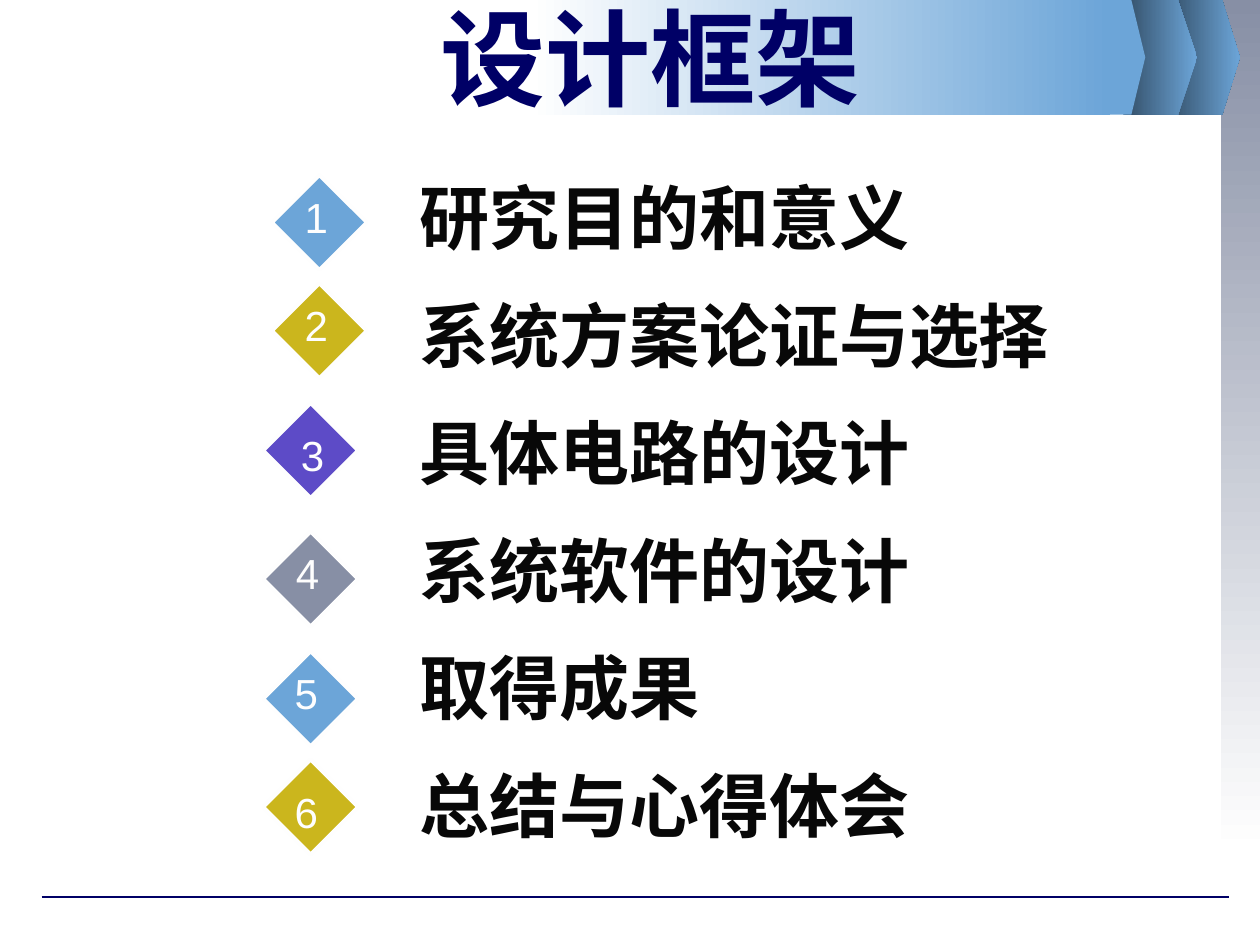
from lxml import etree
from pptx import Presentation
from pptx.dml.color import RGBColor
from pptx.enum import shapes, text
from pptx.oxml import ns
from pptx.util import Inches, Pt

NAVY = RGBColor(0x00, 0x00, 0x66)
INK = RGBColor(0x08, 0x08, 0x08)
WHITE = RGBColor(0xFF, 0xFF, 0xFF)
OFF_WHITE = RGBColor(0xFE, 0xFE, 0xFE)
BLUE = RGBColor(0x6C, 0xA5, 0xD8)
DARK_BLUE = RGBColor(0x32, 0x4C, 0x64)
GOLD = RGBColor(0xCB, 0xB6, 0x1D)
PURPLE = RGBColor(0x5D, 0x4B, 0xC7)
GREY = RGBColor(0x87, 0x8F, 0xA5)

TITLE = "设计框架"
# heading, diamond colour, diamond left and top, number left and top
TOPICS = [
    ("研究目的和意义", BLUE, (2.16, 1.39), (2.32, 1.47)),
    ("系统方案论证与选择", GOLD, (2.16, 2.25), (2.32, 2.33)),
    ("具体电路的设计", PURPLE, (2.09, 3.2), (2.29, 3.36)),
    ("系统软件的设计", GREY, (2.09, 4.22), (2.25, 4.3)),
    ("取得成果", BLUE, (2.09, 5.17), (2.24, 5.25)),
    ("总结与心得体会", GOLD, (2.09, 6.03), (2.24, 6.19)),
]
# left, shoulder, tip, fill colours
CHEVRONS = [
    (9.25, 9.7, 9.84, (DARK_BLUE, BLUE)),
    (8.91, 9.35, 9.5, (DARK_BLUE, BLUE)),
    (8.63, 8.98, 9.09, (BLUE,)),
]
BANNER_HEIGHT = 0.91
DIAMOND_SIZE = 0.75

TITLE_FONT = {"name": "Arial", "size": Pt(60), "bold": True}
TOPIC_FONT = {"name": "Times New Roman", "size": Pt(40), "bold": True}
NUMBER_FONT = {"name": "Arial", "size": Pt(24), "bold": False}


def format_font(font, values, color):
    for key, value in values.items():
        setattr(font, key, value)
    font.color.rgb = color


def paint(shape, colors, angle=0):
    """Fill with one colour, or with a gradient from the first to the second."""
    shape.shadow.inherit = False
    shape.line.fill.background()
    if len(colors) == 1:
        shape.fill.solid()
        shape.fill.fore_color.rgb = colors[0]
        return
    shape.fill.gradient()
    shape.fill.gradient_angle = angle
    for stop, color in zip(shape.fill.gradient_stops, colors):
        stop.color.rgb = color


def place(shape, left, top, width, height):
    shape.left, shape.top = Inches(left), Inches(top)
    shape.width, shape.height = Inches(width), Inches(height)


def add_preset(slide, kind, left, top, width, height):
    return slide.shapes.add_shape(
        kind, Inches(left), Inches(top), Inches(width), Inches(height))


def draw_background(slide):
    rectangle = shapes.MSO_SHAPE.RECTANGLE
    paint(add_preset(slide, rectangle, 9.69, 0, 0.31, 6.77), (GREY, WHITE), 270)

    rule = slide.shapes.add_connector(
        shapes.MSO_CONNECTOR.STRAIGHT,
        Inches(0.33), Inches(7.12), Inches(9.75), Inches(7.12))
    rule.line.color.rgb = NAVY
    rule.line.width = Pt(0.75)
    etree.SubElement(rule._element.spPr, ns.qn("a:effectLst"))

    for left, shoulder, tip, colors in CHEVRONS:
        outline = slide.shapes.build_freeform(Inches(left), 0)
        corners = [(shoulder, 0), (tip, BANNER_HEIGHT / 2),
                   (shoulder, BANNER_HEIGHT), (left, BANNER_HEIGHT)]
        outline.add_line_segments([(Inches(x), Inches(y)) for x, y in corners])
        paint(outline.convert_to_shape(), colors)

    paint(add_preset(slide, rectangle, 4.21, 0, 4.6, BANNER_HEIGHT), (WHITE, BLUE))


def fill_title(slide):
    title = slide.shapes.title
    place(title, 1.25, 0.12, 7.83, 0.65)
    frame = title.text_frame
    frame.text = TITLE
    frame.auto_size = text.MSO_AUTO_SIZE.NONE
    frame.vertical_anchor = text.MSO_ANCHOR.MIDDLE
    frame.paragraphs[0].alignment = text.PP_ALIGN.CENTER
    format_font(frame.paragraphs[0].font, TITLE_FONT, NAVY)
    slide.shapes._spTree.append(title._element)  # in front of the banner


def fill_topics(slide):
    body = slide.placeholders[1]
    place(body, 2.95, 1.07, 5.67, 7.57)
    frame = body.text_frame
    frame.text = "\n".join(topic[0] for topic in TOPICS)
    frame.auto_size = text.MSO_AUTO_SIZE.NONE
    frame.vertical_anchor = text.MSO_ANCHOR.TOP
    for heading in frame.paragraphs:
        properties = heading._p.get_or_add_pPr()
        properties.set("marL", str(Inches(0.28)))
        properties.set("indent", "0")
        etree.SubElement(properties, ns.qn("a:buNone"))
        heading.line_spacing = 1.4
        heading.space_before = Pt(0)
        format_font(heading.font, TOPIC_FONT, INK)
    slide.shapes._spTree.append(body._element)


def draw_markers(slide):
    for number, (_, color, corner, number_corner) in enumerate(TOPICS, 1):
        diamond = add_preset(slide, shapes.MSO_SHAPE.DIAMOND,
                             *corner, DIAMOND_SIZE, DIAMOND_SIZE)
        paint(diamond, (color,))
        diamond.line.color.rgb = OFF_WHITE
        diamond.line.width = Pt(2)

        label = slide.shapes.add_textbox(
            *map(Inches, number_corner), Inches(0.38), Inches(0.5))
        label.text_frame.word_wrap = True
        line = label.text_frame.paragraphs[0]
        line.text = str(number)
        line.alignment = text.PP_ALIGN.CENTER
        format_font(line.font, NUMBER_FONT, OFF_WHITE)


def main():
    deck = Presentation()
    deck.slide_width, deck.slide_height = Inches(10), Inches(7.5)
    slide = deck.slides.add_slide(deck.slide_layouts[1])
    draw_background(slide)
    fill_title(slide)
    fill_topics(slide)
    draw_markers(slide)
    deck.save("out.pptx")


if __name__ == "__main__":
    main()
